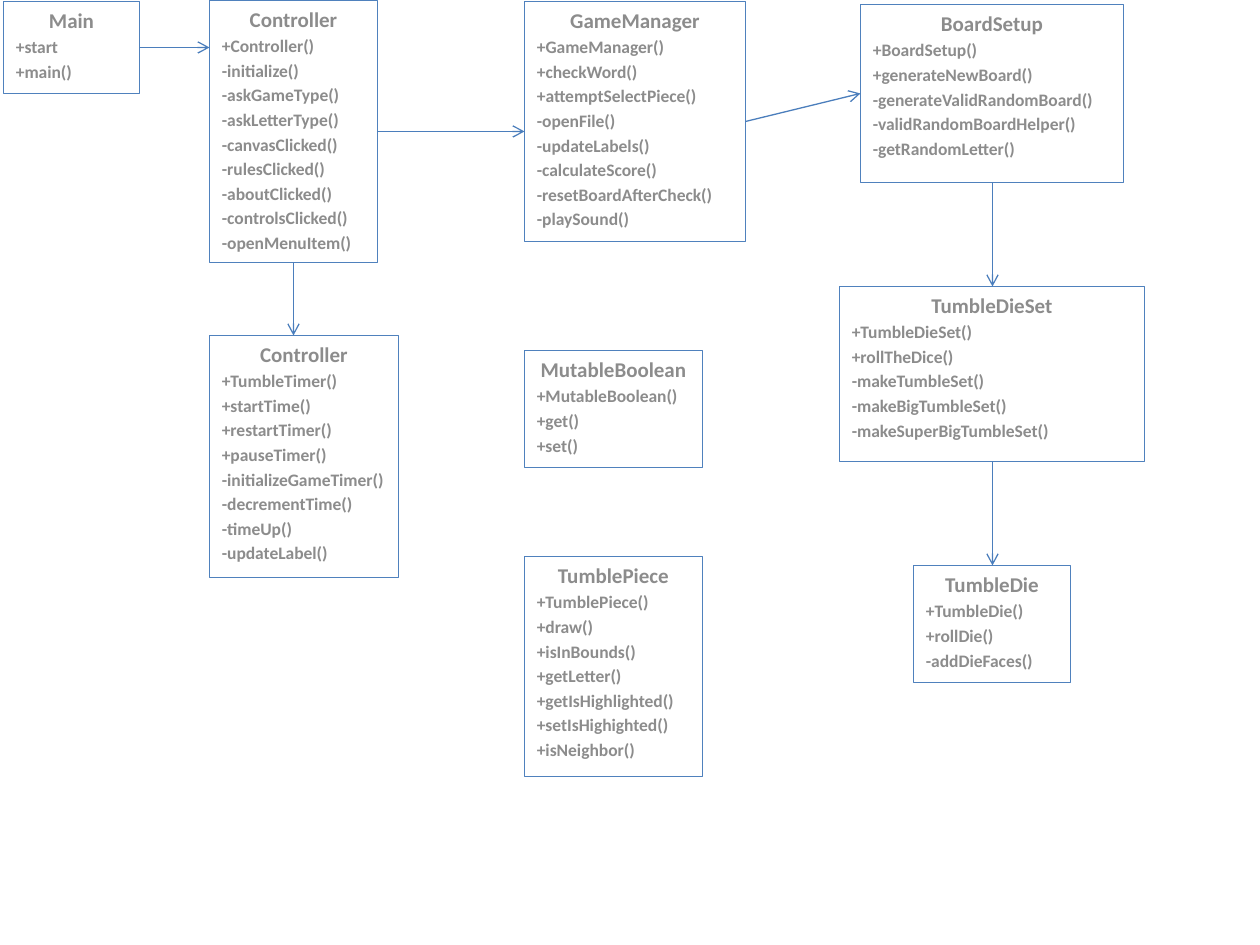
from pptx import Presentation
from pptx.dml.color import RGBColor
from pptx.enum.shapes import MSO_CONNECTOR, MSO_SHAPE
from pptx.enum.text import MSO_ANCHOR, PP_ALIGN
from pptx.oxml.ns import qn
from pptx.util import Inches, Pt
from lxml import etree

RECT, STRAIGHT = MSO_SHAPE.RECTANGLE, MSO_CONNECTOR.STRAIGHT
TOP, LEFT, CENTER = MSO_ANCHOR.TOP, PP_ALIGN.LEFT, PP_ALIGN.CENTER
PX = 914400 / 126
HALF = 0.5  # centres thin lines on a pixel

THEME = {
    "font": "Calibri", "title": Pt(12), "member": Pt(10), "gap": Pt(2),
    "text": RGBColor(0x8C, 0x8C, 0x8C), "border": RGBColor(0x4F, 0x81, 0xBD),
    "arrow": RGBColor(0x4B, 0x7E, 0xBC), "line": Pt(0.75),
}

# Class boxes: key -> (left, top, width, height), title, members
CLASSES = {
    "main": ((3, 1, 136, 92), "Main", ["+start", "+main()"]),
    "controller": ((209, 0, 168, 262), "Controller", [
        "+Controller()", "-initialize()", "-askGameType()", "-askLetterType()",
        "-canvasClicked()", "-rulesClicked()", "-aboutClicked()",
        "-controlsClicked()", "-openMenuItem()"]),
    "manager": ((524, 1, 221, 240), "GameManager", [
        "+GameManager()", "+checkWord()", "+attemptSelectPiece()", "-openFile()",
        "-updateLabels()", "-calculateScore()", "-resetBoardAfterCheck()",
        "-playSound()"]),
    "die": ((913, 565, 157, 117), "TumbleDie", [
        "+TumbleDie()", "+rollDie()", "-addDieFaces()"]),
    "die_set": ((839, 286, 305, 175), "TumbleDieSet", [
        "+TumbleDieSet()", "+rollTheDice()", "-makeTumbleSet()",
        "-makeBigTumbleSet()", "-makeSuperBigTumbleSet()"]),
    "setup": ((860, 4, 263, 178), "BoardSetup", [
        "+BoardSetup()", "+generateNewBoard()", "-generateValidRandomBoard()",
        "-validRandomBoardHelper()", "-getRandomLetter()"]),
    "timer": ((209, 335, 189, 242), "Controller", [
        "+TumbleTimer()", "+startTime()", "+restartTimer()", "+pauseTimer()",
        "-initializeGameTimer()", "-decrementTime()", "-timeUp()",
        "-updateLabel()"]),
    "boolean": ((524, 350, 178, 117), "MutableBoolean", [
        "+MutableBoolean()", "+get()", "+set()"]),
    "piece": ((524, 556, 178, 220), "TumblePiece", [
        "+TumblePiece()", "+draw()", "+isInBounds()", "+getLetter()",
        "+getIsHighlighted()", "+setIsHighighted()", "+isNeighbor()"]),
}

# Arrows: source, target, direction; "slant" runs right to the target's middle
ARROWS = [
    ("main", "controller", "right"), ("controller", "manager", "right"),
    ("setup", "die_set", "down"), ("manager", "setup", "slant"),
    ("die_set", "die", "down"), ("controller", "timer", "down"),
]

prs = Presentation()
prs.slide_width, prs.slide_height = Inches(10), Inches(7.5)
s = prs.slides.add_slide(prs.slide_layouts[6])


def emu(px):
    return round(px * PX)


def add_line(tf, text, first):
    p = tf.paragraphs[0] if first else tf.add_paragraph()
    p.alignment = CENTER if first else LEFT
    p.space_before = THEME["gap"]
    r = p.add_run()
    r.text = text
    r.font.name, r.font.bold = THEME["font"], True
    r.font.size = THEME["title" if first else "member"]
    r.font.color.rgb = THEME["text"]


def add_class(box, title, members):
    x, y, w, h = box
    sp = s.shapes.add_shape(RECT, emu(x + HALF), emu(y + HALF), emu(w), emu(h))
    sp.shadow.inherit = False
    sp.fill.background()
    sp.line.color.rgb, sp.line.width = THEME["border"], THEME["line"]
    tf = sp.text_frame
    tf.word_wrap, tf.vertical_anchor = True, TOP
    for i, text in enumerate([title, *members]):
        add_line(tf, text, i == 0)


def add_arrow(source, target, direction):
    x, y, w, h = CLASSES[source][0]
    tx, ty, _, th = CLASSES[target][0]
    mid_x, mid_y = x + (w + 1) // 2, y + h // 2
    ends = {
        "right": (x + w, mid_y, tx, mid_y),
        "slant": (x + w, mid_y, tx, ty + th // 2),
        "down": (mid_x, y + h, mid_x, ty),
    }[direction]
    c = s.shapes.add_connector(STRAIGHT, *(emu(v + HALF) for v in ends))
    c.line.color.rgb, c.line.width = THEME["arrow"], THEME["line"]
    etree.SubElement(c.line._get_or_add_ln(), qn("a:tailEnd"), type="arrow")
    etree.SubElement(c._element.spPr, qn("a:effectLst"))


# Class boxes, then the arrows between them
for spec in CLASSES.values():
    add_class(*spec)
for arrow in ARROWS:
    add_arrow(*arrow)

prs.save("out.pptx")
